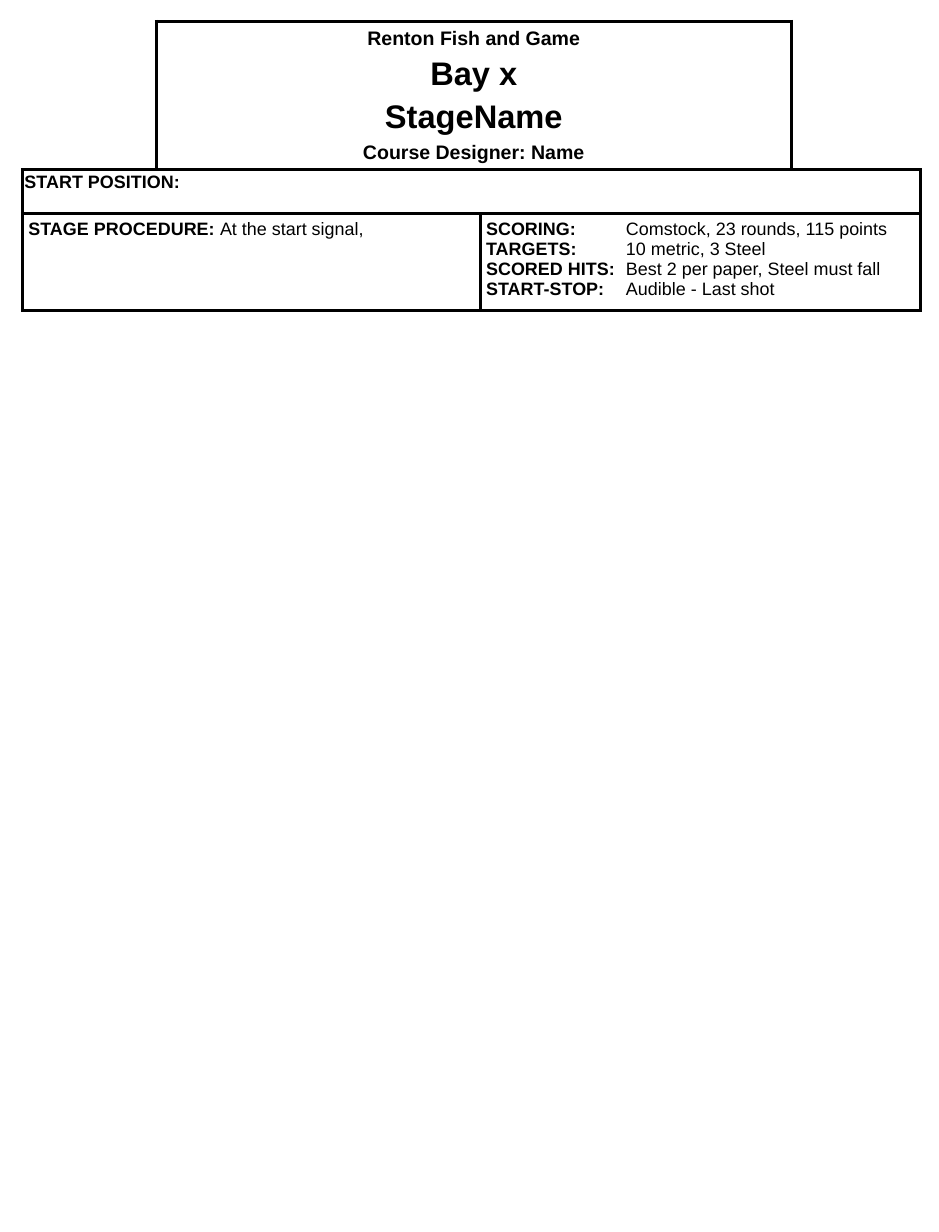
"""Build a one-page stage briefing sheet as a bordered table."""
from dataclasses import dataclass

from lxml import etree
from pptx import Presentation
from pptx.dml.color import RGBColor
from pptx.enum.text import MSO_ANCHOR, PP_ALIGN
from pptx.oxml.ns import qn
from pptx.util import Pt

PX = 7620


@dataclass(frozen=True)
class Theme:
    font: str = "Arial"
    ink: str = "000000"
    paper: str = "FFFFFF"
    title: int = 20
    heading: int = 12
    body: int = 11
    border: float = 2.25


theme = Theme()


def write(p, text, size=theme.body, bold=False):
    r = p.add_run()
    r.text = text
    r.font.name = theme.font
    r.font.size = Pt(size)
    r.font.bold = bold
    r.font.color.rgb = RGBColor.from_string(theme.ink)


def set_borders(cell, sides):
    tc_pr = cell._tc.get_or_add_tcPr()
    for i, side in enumerate("LRTB"):
        ln = etree.Element(qn(f"a:ln{side}"), w=str(Pt(theme.border)))
        if side in sides:
            fill = etree.SubElement(ln, qn("a:solidFill"))
            etree.SubElement(fill, qn("a:srgbClr"), val=theme.ink)
        else:
            etree.SubElement(ln, qn("a:noFill"))
        tc_pr.insert(i, ln)


prs = Presentation()
prs.slide_width = 960 * PX
prs.slide_height = 1260 * PX
s = prs.slides.add_slide(prs.slide_layouts[6])

widths = [137, 331, 318, 132]
heights = [151, 45, 99]
table = s.shapes.add_table(len(heights), len(widths), 23 * PX, 22 * PX,
                           sum(widths) * PX, sum(heights) * PX).table
table.first_row = False
table.horz_banding = False
for col, width in zip(table.columns, widths):
    col.width = width * PX
for row, height in zip(table.rows, heights):
    row.height = height * PX

corners = {(0, 0): "RB", (0, 3): "LB"}
for y in range(len(heights)):
    for x in range(len(widths)):
        cell = table.cell(y, x)
        cell.fill.solid()
        cell.fill.fore_color.rgb = RGBColor.from_string(theme.paper)
        set_borders(cell, corners.get((y, x), "LRTB"))
        cell.margin_left = cell.margin_right = 6 * PX
        cell.margin_top = cell.margin_bottom = 6 * PX

title, start, procedure, scoring = (table.cell(y, x) for y, x in
                                    [(0, 1), (1, 0), (2, 0), (2, 2)])
title.merge(table.cell(0, 2))
start.merge(table.cell(1, 3))
procedure.merge(table.cell(2, 1))
scoring.merge(table.cell(2, 3))

title.vertical_anchor = MSO_ANCHOR.MIDDLE
tf = title.text_frame
headings = [
    ("Renton Fish and Game", theme.heading, 0),
    ("Bay x", theme.title, 4),
    ("StageName", theme.title, 4),
    ("Course Designer: Name", theme.heading, 4.2),
]
for i, (text, size, before) in enumerate(headings):
    p = tf.add_paragraph() if i else tf.paragraphs[0]
    p.alignment = PP_ALIGN.CENTER
    p.space_before = Pt(before)
    write(p, text, size=size, bold=True)

start.margin_left = start.margin_right = 2 * PX
start.margin_top = start.margin_bottom = 5 * PX
p = start.text_frame.paragraphs[0]
p.line_spacing = 0.9
write(p, "START POSITION:", bold=True)

p = procedure.text_frame.paragraphs[0]
write(p, "STAGE PROCEDURE: ", bold=True)
write(p, "At the start signal,")

tf = scoring.text_frame
rules = [
    ("SCORING:", "Comstock, 23 rounds, 115 points"),
    ("TARGETS:", "10 metric, 3 Steel"),
    ("SCORED HITS:", "Best 2 per paper, Steel must fall"),
    ("START-STOP:", "Audible - Last shot"),
]
for i, (label, value) in enumerate(rules):
    p = tf.add_paragraph() if i else tf.paragraphs[0]
    tabs = etree.SubElement(p._p.get_or_add_pPr(), qn("a:tabLst"))
    etree.SubElement(tabs, qn("a:tab"), pos=str(143 * PX), algn="l")
    write(p, label, bold=True)
    write(p, "\t" + value)

prs.save("out.pptx")
